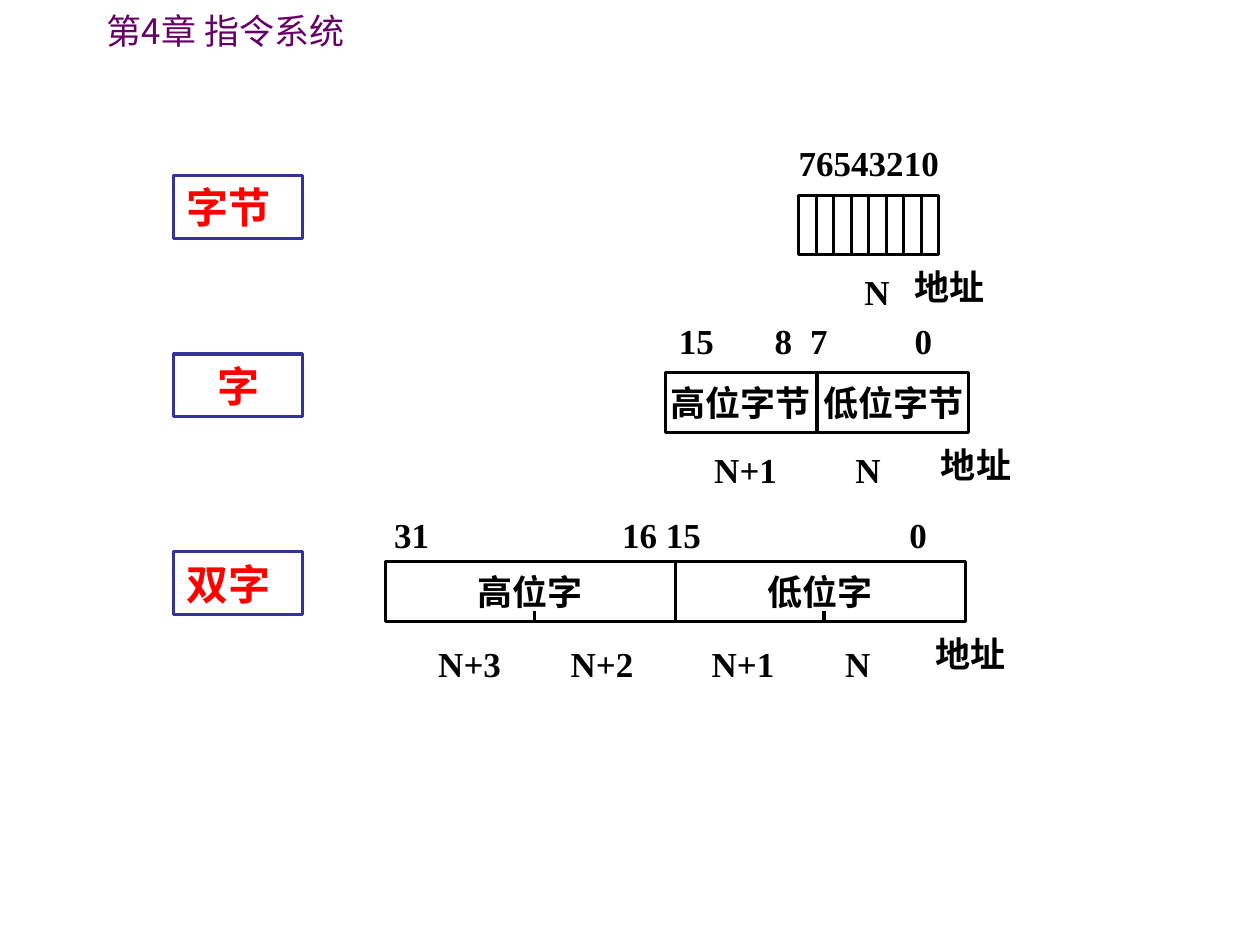
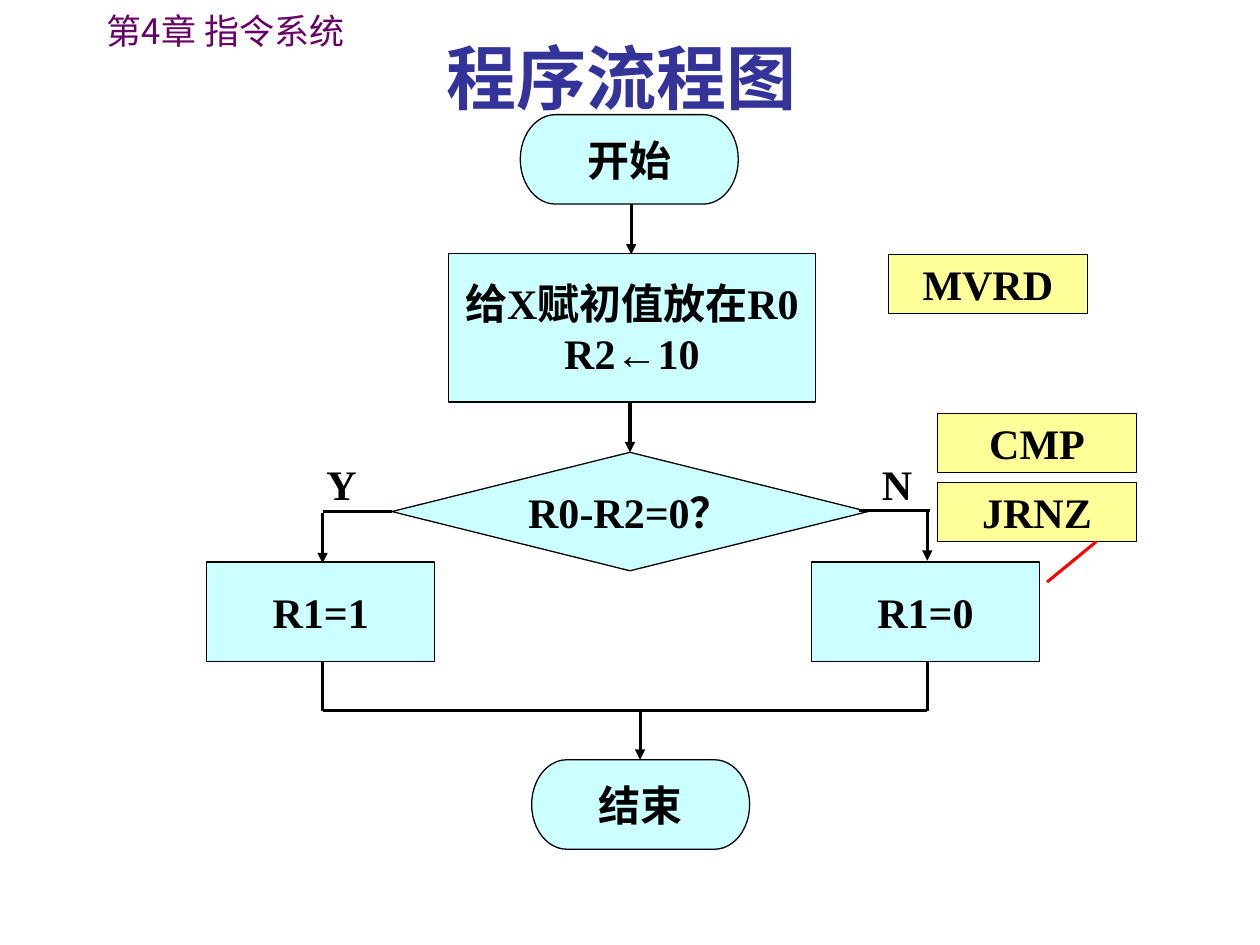
from pptx import Presentation, util as u
from pptx.dml.color import RGBColor
from pptx.enum import shapes, text
from pptx.oxml.ns import qn
from lxml import etree

COLORS = {"ink": "000000", "chapter": "660066", "navy": "333399", "red": "FF0000",
          "cyan": "CCFFFF", "yellow": "FFFF99"}
SERIF, SANS, CHINESE = "Times New Roman", "Arial", "Noto Sans CJK SC"
LEFT, CENTER = text.PP_ALIGN.LEFT, text.PP_ALIGN.CENTER
KIND = shapes.MSO_SHAPE


def add_box(page, kind, at, words="", size=20, font=SERIF, color="ink", bold=True,
            align=CENTER, fill=None, line="ink", width=1.75, tabs=()):
    """Add a shape, or a plain text box when kind is None; tabs are in inches."""
    place = [u.Inches(length) for length in at]
    if kind is None:
        box = page.shapes.add_textbox(*place)
    else:
        box = page.shapes.add_shape(kind, *place)
        box.shadow.inherit = False
        box.line.color.rgb = RGBColor.from_string(COLORS[line])
        box.line.width = u.Pt(width)
        if fill:
            box.fill.solid()
            box.fill.fore_color.rgb = RGBColor.from_string(COLORS[fill])
        else:
            box.fill.background()
    frame = box.text_frame
    frame.word_wrap = kind is None
    frame.vertical_anchor = text.MSO_ANCHOR.TOP if kind is None else text.MSO_ANCHOR.MIDDLE
    frame.text = words
    for para in frame.paragraphs:
        para.alignment = align
        if tabs:
            stops = etree.SubElement(para._p.get_or_add_pPr(), qn("a:tabLst"))
            for stop in tabs:
                etree.SubElement(stops, qn("a:tab"), pos=str(u.Inches(stop)), algn="l")
        para.font.name = font
        para.font.size = u.Pt(size)
        para.font.bold = bold
        para.font.color.rgb = RGBColor.from_string(COLORS[color])


def add_line(page, x1, y1, x2, y2, color="ink", arrow=False):
    ends = [u.Inches(length) for length in (x1, y1, x2, y2)]
    connector = page.shapes.add_connector(shapes.MSO_CONNECTOR.STRAIGHT, *ends)
    connector.line.color.rgb = RGBColor.from_string(COLORS[color])
    connector.line.width = u.Pt(1.75)
    if arrow:
        etree.SubElement(connector.line._get_or_add_ln(), qn("a:tailEnd"), type="triangle")
    etree.SubElement(connector._element.spPr, qn("a:effectLst"))


deck = Presentation()
deck.slide_width, deck.slide_height = u.Inches(10), u.Inches(7.5)
formats = deck.slides.add_slide(deck.slide_layouts[6])
flow = deck.slides.add_slide(deck.slide_layouts[5])
for page in (formats, flow):
    add_box(page, None, (0.75, 0.03, 3.07, 0.44), "第4章 指令系统", font=CHINESE,
            color="chapter", bold=False, align=LEFT)

# Slide 1: byte, word and double word
for top, words, align in ((1.39, "字节", LEFT), (2.81, "字", CENTER), (4.38, "双字", LEFT)):
    add_box(formats, KIND.RECTANGLE, (1.38, top, 1.02, 0.5), words, 24, SANS, "red",
            align=align, line="navy")

byte_left, byte_top, byte_width, cell_height = 6.34, 1.55, 1.11, 0.47
add_box(formats, KIND.RECTANGLE, (byte_left, byte_top, byte_width, cell_height))
for bit in range(1, 8):
    x = byte_left + bit * byte_width / 8
    add_line(formats, x, byte_top, x, byte_top + cell_height)
add_box(formats, None, (6.24, 1.07, 1.34, 0.44), "76543210", align=LEFT)
add_box(formats, None, (6.34, 2.1, 1.24, 0.44), "N")

for left, top, width, words in (
    (5.28, 2.96, 1.2, "高位字节"), (6.49, 2.96, 1.2, "低位字节"),
    (3.06, 4.46, 2.3, "高位字"), (5.36, 4.46, 2.3, "低位字"),
):
    add_box(formats, KIND.RECTANGLE, (left, top, width, cell_height), words)
for x in (4.24, 6.54):
    add_line(formats, x, 4.93, x, 4.85)

for left, top, width, words, tabs in (
    (5.29, 2.49, 2.48, "15\t8\t7\t0", (0.76, 1.04, 1.87)),
    (5.29, 3.51, 2.39, "\tN+1\tN", (0.28, 1.4)),
    (3.03, 4.03, 4.66, "31\t16 15\t0", (1.81, 4.09)),
    (3.03, 5.05, 4.66, "\tN+3\tN+2\tN+1\tN", (0.35, 1.4, 2.52, 3.58)),
):
    add_box(formats, None, (left, top, width, 0.44), words, align=LEFT, tabs=tabs)
for left, top in ((7.16, 2.06), (7.37, 3.47), (7.33, 4.97)):
    add_box(formats, None, (left, top, 0.94, 0.44), "地址", align=LEFT)

# Slide 2: flow chart
title = flow.shapes.title
title.left, title.top, title.width, title.height = map(u.Inches, (0.43, 0.21, 9, 0.79))
title.text_frame.text = "程序流程图"
title.text_frame.vertical_anchor = text.MSO_ANCHOR.MIDDLE
heading = title.text_frame.paragraphs[0]
heading.alignment = CENTER
heading.font.name, heading.font.size, heading.font.bold = SERIF, u.Pt(40), True
heading.font.color.rgb = RGBColor.from_string(COLORS["navy"])

for kind, at, words, font, fill in (
    (KIND.FLOWCHART_TERMINATOR, (4.13, 0.91, 1.73, 0.71), "开始", SANS, "cyan"),
    (KIND.FLOWCHART_PROCESS, (3.56, 2.01, 2.91, 1.18), "给X赋初值放在R0\nR2←10", SERIF, "cyan"),
    (KIND.FLOWCHART_DECISION, (3.11, 3.59, 3.78, 0.94), "R0-R2=0？", SERIF, "cyan"),
    (KIND.FLOWCHART_PROCESS, (1.64, 4.46, 1.81, 0.79), "R1=1", SERIF, "cyan"),
    (KIND.FLOWCHART_PROCESS, (6.44, 4.46, 1.81, 0.79), "R1=0", SERIF, "cyan"),
    (KIND.FLOWCHART_TERMINATOR, (4.22, 6.03, 1.73, 0.71), "结束", SANS, "cyan"),
    (KIND.RECTANGLE, (7.05, 2.02, 1.58, 0.47), "MVRD", SERIF, "yellow"),
    (KIND.RECTANGLE, (7.44, 3.28, 1.58, 0.47), "CMP", SERIF, "yellow"),
    (KIND.RECTANGLE, (7.44, 3.83, 1.58, 0.47), "JRNZ", SERIF, "yellow"),
):
    add_box(flow, kind, at, words, 24, font, fill=fill, width=0.75)
for left, words in ((2.24, "Y"), (6.65, "N")):
    add_box(flow, None, (left, 3.59, 0.94, 0.5), words, 24)

yes_x, no_x, join_y = 2.56, 7.36, 5.64
for x, start, end in ((5.01, 1.62, 2.02), (5, 3.2, 3.59), (yes_x, 4.07, 4.47),
                      (no_x, 4.06, 4.45), (5.08, join_y, 6.03)):
    add_line(flow, x, start, x, end, arrow=True)
add_line(flow, 3.11, 4.06, yes_x, 4.06)
add_line(flow, 7.38, 4.05, 6.82, 4.05)
for x in (yes_x, no_x):
    add_line(flow, x, 5.25, x, join_y)
add_line(flow, yes_x, join_y, no_x, join_y)
add_line(flow, 8.7, 4.3, 8.31, 4.62, color="red")

deck.save("out.pptx")
